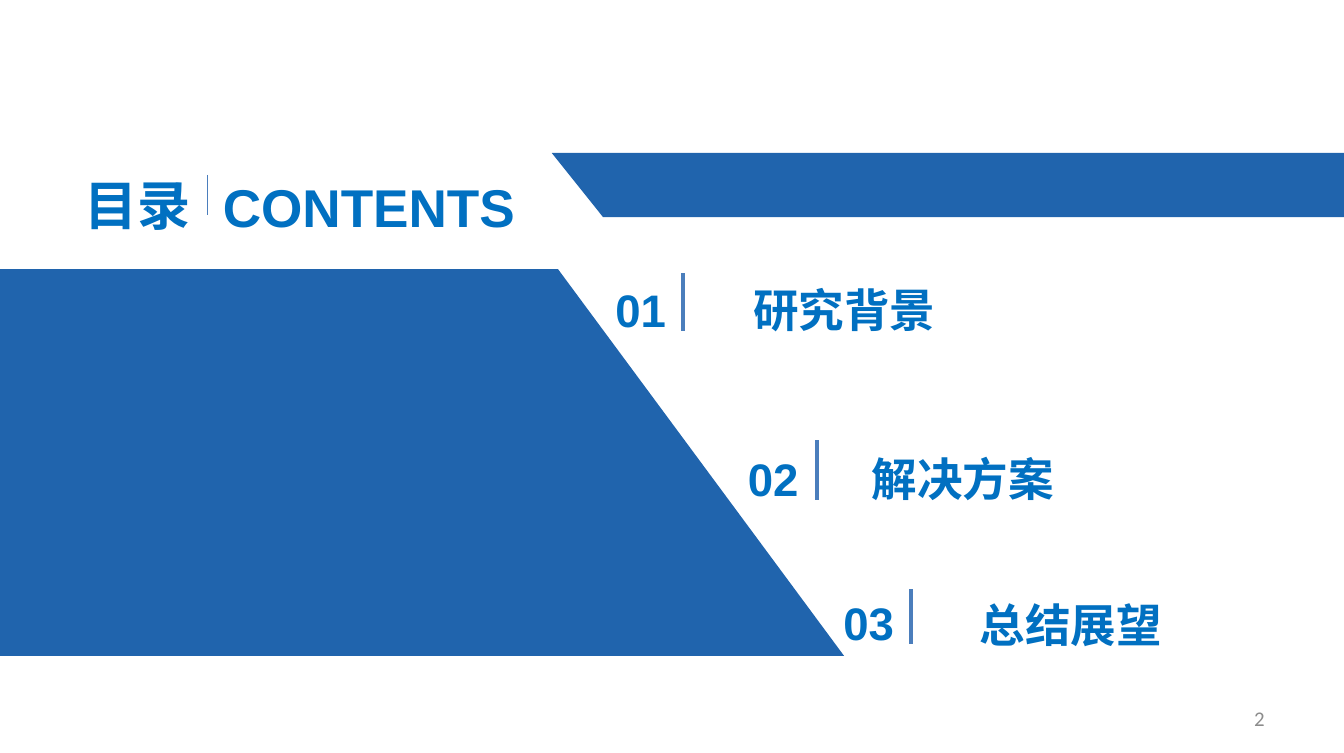
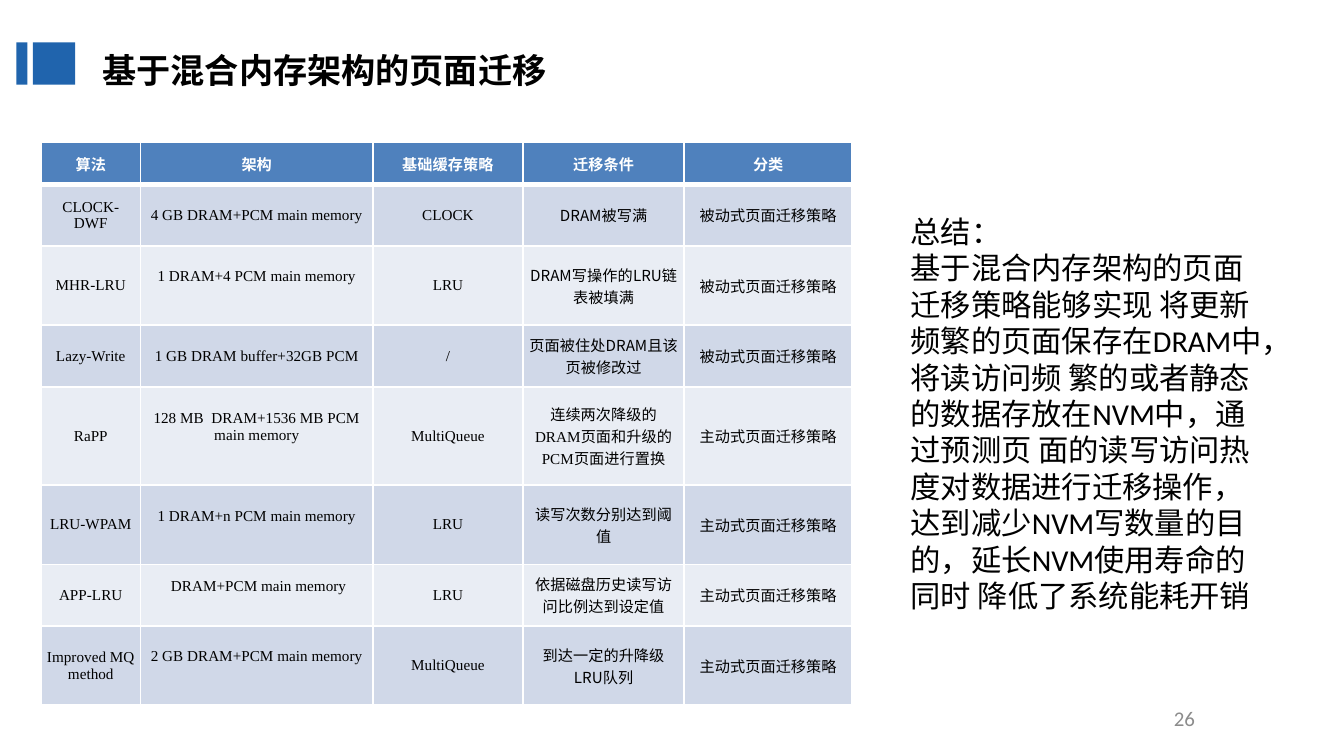
from lxml import etree
from pptx import Presentation
from pptx.dml.color import RGBColor
from pptx.enum.shapes import MSO_CONNECTOR, MSO_SHAPE
from pptx.enum.text import MSO_ANCHOR, MSO_AUTO_SIZE, PP_ALIGN
from pptx.oxml.ns import qn
from pptx.util import Inches, Pt

LEFT, CENTER, RIGHT = PP_ALIGN.LEFT, PP_ALIGN.CENTER, PP_ALIGN.RIGHT
TOP, MIDDLE = MSO_ANCHOR.TOP, MSO_ANCHOR.MIDDLE
GROW, FIXED = MSO_AUTO_SIZE.SHAPE_TO_FIT_TEXT, MSO_AUTO_SIZE.NONE
STRAIGHT = MSO_CONNECTOR.STRAIGHT
RECT, PARALLELOGRAM = MSO_SHAPE.RECTANGLE, MSO_SHAPE.PARALLELOGRAM

BAND_BLUE = RGBColor(0x20, 0x64, 0xAD)
TEXT_BLUE = RGBColor(0x01, 0x70, 0xC1)
RULE_BLUE = RGBColor(0x4B, 0x7E, 0xBC)
HEADER_BLUE = RGBColor(0x4F, 0x81, 0xBD)
ROW_DARK = RGBColor(0xD0, 0xD8, 0xE8)
ROW_LIGHT = RGBColor(0xE9, 0xED, 0xF4)
GREY = RGBColor(0x8C, 0x8C, 0x8C)
BLACK = RGBColor(0, 0, 0)
WHITE = RGBColor(0xFF, 0xFF, 0xFF)

HEADING, BODY, SERIF, CJK = "Arial", "Calibri", "Times New Roman", "Noto Sans CJK SC"

ITEMS = [
    ("01", "研究背景", (3.43, 1.98), (4.92, 1.98), (5.0, 2.0, 2.42)),
    ("02", "解决方案", (4.4, 3.22), (5.79, 3.22), (5.98, 3.22, 3.66)),
    ("03", "总结展望", (5.1, 4.27), (6.58, 4.29), (6.67, 4.31, 4.71)),
]
PASSIVE, ACTIVE = "被动式页面迁移策略", "主动式页面迁移策略"
TABLE = [
    ("算法", "架构", "基础缓存策略", "迁移条件", "分类"),
    ("CLOCK-DWF", "4 GB DRAM+PCM main memory", "CLOCK", "DRAM被写满", PASSIVE),
    ("MHR-LRU", "1 DRAM+4 PCM main memory", "LRU", "DRAM写操作的LRU链表被填满", PASSIVE),
    ("Lazy-Write", "1 GB DRAM buffer+32GB PCM", "/", "页面被住处DRAM且该页被修改过", PASSIVE),
    ("RaPP", "128 MB  DRAM+1536 MB PCM main memory", "MultiQueue",
     "连续两次降级的DRAM页面和升级的PCM页面进行置换", ACTIVE),
    ("LRU-WPAM", "1 DRAM+n PCM main memory", "LRU", "读写次数分别达到阈值", ACTIVE),
    ("APP-LRU", " DRAM+PCM main memory", "LRU", "依据磁盘历史读写访问比例达到设定值", ACTIVE),
    ("Improved MQ method", "2 GB DRAM+PCM main memory", "MultiQueue",
     "到达一定的升降级LRU队列", ACTIVE),
]
COLUMN_WIDTHS = [0.73, 1.7, 1.1, 1.18, 1.23]
ROW_HEIGHTS = [0.31, 0.45, 0.58, 0.45, 0.72, 0.58, 0.45, 0.58]
RAISED_ROWS = {2, 4, 5, 6, 7}
SUMMARY = [
    "总结：",
    "基于混合内存架构的页面迁移策略能够实现 将更新频繁的页面保存在DRAM中，将读访问频 繁的或者"
    "静态的数据存放在NVM中，通过预测页 面的读写访问热度对数据进行迁移操作，达到减少NVM写数量的目的，"
    "延长NVM使用寿命的同时 降低了系统能耗开销",
]


def add_run(p, text, size, color, font, bold=False):
    """Add one run with its Latin and East Asian fonts."""
    r = p.add_run()
    r.text = text
    r.font.size, r.font.bold, r.font.name = Pt(size), bold, font
    r.font.color.rgb = color
    ea = etree.SubElement(r.font._element, qn("a:ea"))
    ea.set("typeface", CJK)


def add_text(s, box, lines, size, color, font, bold=False, align=LEFT,
             anchor=TOP, insets=(0.1, 0.05), spacing=None, fit=GROW):
    """Place a wrapped text box with one paragraph per line."""
    tf = s.shapes.add_textbox(*map(Inches, box)).text_frame
    tf.word_wrap, tf.auto_size, tf.vertical_anchor = True, fit, anchor
    tf.margin_left = tf.margin_right = Inches(insets[0])
    tf.margin_top = tf.margin_bottom = Inches(insets[1])
    for i, line in enumerate(lines):
        p = tf.add_paragraph() if i else tf.paragraphs[0]
        p.alignment = align
        if spacing:
            p.line_spacing = spacing
        add_run(p, line, size, color, font, bold)


def add_heading(s, box, text, size, color=TEXT_BLUE, align=CENTER):
    """Place a bold one-line heading."""
    add_text(s, box, [text], size, color, HEADING, True, align, insets=(0, 0), spacing=1.2)


def add_page_number(s, left, number):
    """Place the page number in the footer."""
    add_text(s, (left, 5.11, 2.3, 0.29), [number], 11, GREY, BODY, align=RIGHT,
             anchor=MIDDLE, insets=(0.09, 0.04), fit=FIXED)


def add_block(s, kind, box):
    """Place a plain blue shape."""
    sp = s.shapes.add_shape(kind, *map(Inches, box))
    sp.shadow.inherit = False
    sp.fill.solid()
    sp.fill.fore_color.rgb = BAND_BLUE
    sp.line.fill.background()
    return sp


def add_band(s, box, slant):
    """Place a parallelogram band that leans to the left."""
    sp = add_block(s, PARALLELOGRAM, box)
    sp.adjustments[0] = slant
    sp._element.spPr.find(qn("a:xfrm")).set("flipV", "1")


def add_rule(s, x, top, bottom, width):
    """Draw a vertical rule."""
    line = s.shapes.add_connector(STRAIGHT, Inches(x), Inches(top), Inches(x), Inches(bottom))
    line.line.color.rgb = RULE_BLUE
    line.line.width = Pt(width)
    etree.SubElement(line._element.spPr, qn("a:effectLst"))


def add_borders(cell, widths):
    """Give a cell white borders of the given widths."""
    for side, width in widths.items():
        ln = etree.SubElement(cell._tc.get_or_add_tcPr(), qn("a:ln" + side))
        ln.set("w", str(Pt(width)))
        fill = etree.SubElement(ln, qn("a:solidFill"))
        etree.SubElement(fill, qn("a:srgbClr")).set("val", str(WHITE))


def fill_cell(cell, text, row, col):
    """Write and style one table cell by its row and column."""
    header = row == 0
    cell.vertical_anchor = MIDDLE
    cell.margin_left = cell.margin_right = Inches(0.04)
    cell.margin_top = Inches(0.02)
    cell.margin_bottom = Inches(0.15 if col == 1 and row in RAISED_ROWS else 0.02)
    add_borders(cell, {"L": 1, "R": 1, "T": 3 if row == 1 else 1, "B": 3 if header else 1})
    cell.fill.solid()
    cell.fill.fore_color.rgb = HEADER_BLUE if header else ROW_DARK if row % 2 else ROW_LIGHT
    serif = not header and (col < 3 or (row, col) == (4, 3))
    p = cell.text_frame.paragraphs[0]
    p.alignment = CENTER
    add_run(p, text, 8, WHITE if header else BLACK, SERIF if serif else CJK, header)


def add_comparison(s, left, top):
    """Place the table that compares the algorithms."""
    box = (left, top, sum(COLUMN_WIDTHS), sum(ROW_HEIGHTS))
    table = s.shapes.add_table(len(TABLE), len(COLUMN_WIDTHS), *map(Inches, box)).table
    for column, width in zip(table.columns, COLUMN_WIDTHS):
        column.width = Inches(width)
    for row, (texts, height) in enumerate(zip(TABLE, ROW_HEIGHTS)):
        table.rows[row].height = Inches(height)
        for col, text in enumerate(texts):
            fill_cell(table.cell(row, col), text, row, col)


def add_title(s, left, top, text):
    """Place the title with its two blue blocks."""
    add_block(s, RECT, (left + 0.12, top, 0.31, 0.31))
    add_block(s, RECT, (left, top, 0.08, 0.31))
    add_heading(s, (left + 0.63, top - 0.01, 4.25, 0.33), text, 18, BLACK, LEFT)


def build_contents(s):
    """Build the contents slide."""
    add_band(s, (4.04, 1.12, 6.46, 0.47), 0.8)
    add_heading(s, (0.02, 1.17, 1.97, 0.52), "目录", 28)
    add_rule(s, 1.52, 1.28, 1.57, 0.75)
    add_heading(s, (1.44, 1.18, 2.52, 0.51), "CONTENTS", 28)
    for number, name, number_at, name_at, rule in ITEMS:
        add_heading(s, (*name_at, 2.52, 0.44), name, 24)
        add_heading(s, (*number_at, 2.52, 0.44), number, 24)
        add_rule(s, *rule, 2)
    add_band(s, (-3.03, 1.97, 9.21, 2.83), 0.74)
    add_page_number(s, 7.05, "2")


def build_migration(s):
    """Build the page migration slide."""
    add_title(s, 0.12, 0.31, "基于混合内存架构的页面迁移")
    add_page_number(s, 6.54, "26")
    add_comparison(s, 0.3, 1.04)
    add_text(s, (6.57, 1.51, 2.8, 3.06), SUMMARY, 16, BLACK, BODY)


def main():
    """Build and save the deck."""
    prs = Presentation()
    prs.slide_width, prs.slide_height = Inches(9.84), Inches(5.51)
    for build in (build_contents, build_migration):
        build(prs.slides.add_slide(prs.slide_layouts[6]))
    prs.save("out.pptx")


if __name__ == "__main__":
    main()
